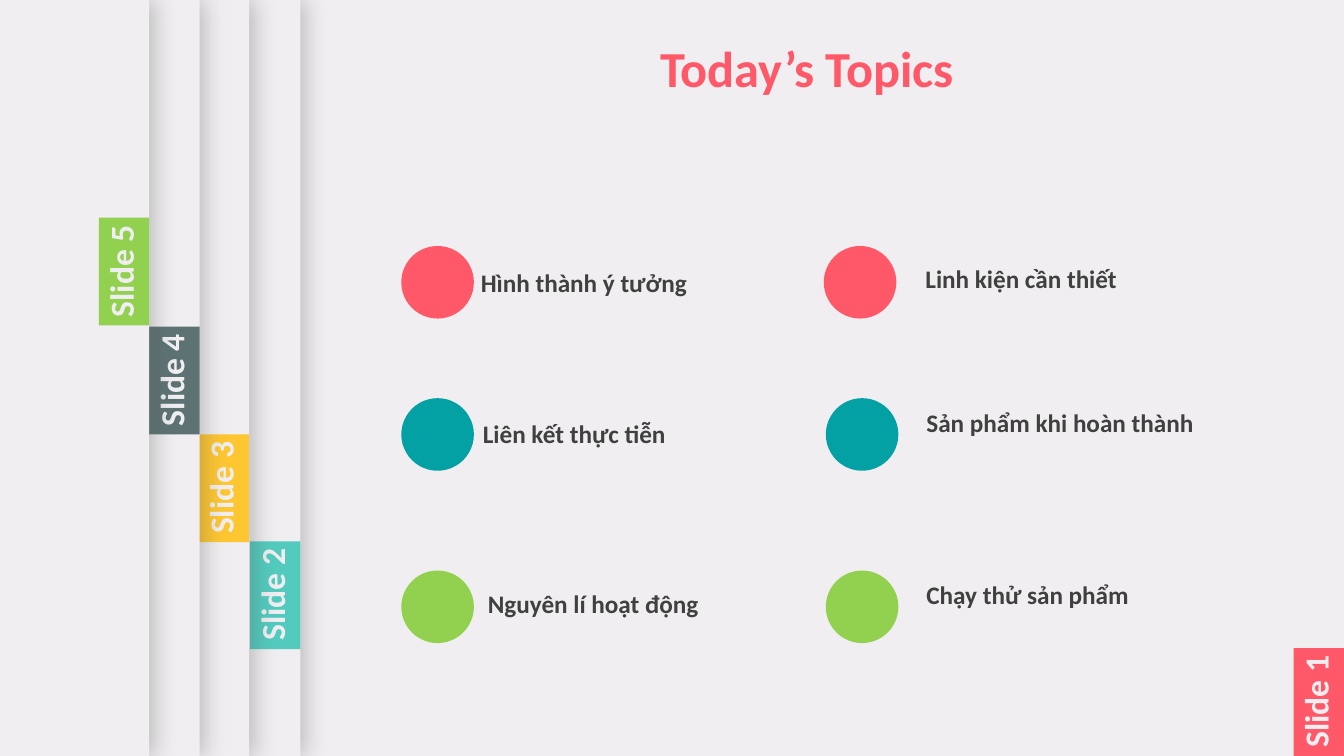
from dataclasses import dataclass

from lxml import etree
from pptx import Presentation
from pptx.dml.color import RGBColor
from pptx.enum.shapes import MSO_SHAPE as Shape
from pptx.enum.text import MSO_AUTO_SIZE as AutoSize, PP_ALIGN as Align
from pptx.oxml.ns import qn
from pptx.util import Inches, Pt


@dataclass(frozen=True)
class Theme:
    font: str = "Calibri"
    paper: str = "F0EEF0"
    ink: str = "404040"
    shade: str = "595959"
    coral: str = "FF5969"
    teal: str = "03A1A4"
    green: str = "92D050"
    mint: str = "52CBBE"
    amber: str = "FEC630"
    slate: str = "5D7373"
    title_size: int = 36
    tab_size: int = 24
    topic_size: int = 18


class Deck:
    """Holds the theme and the current slide, and draws each kind of element."""

    def __init__(self, slide, theme):
        self.slide = slide
        self.theme = theme
        background = slide.background.fill
        background.solid()
        background.fore_color.rgb = RGBColor.from_string(theme.paper)

    def block(self, kind, left, top, width, height, color):
        block = self.slide.shapes.add_shape(
            kind, Inches(left), Inches(top), Inches(width), Inches(height))
        block.shadow.inherit = False
        block.fill.solid()
        block.fill.fore_color.rgb = RGBColor.from_string(color)
        block.line.fill.background()
        return block

    def text(self, words, left, top, width, height, size, color,
             align=Align.LEFT, rotation=0):
        box = self.slide.shapes.add_textbox(
            Inches(left), Inches(top), Inches(width), Inches(height))
        box.rotation = rotation
        frame = box.text_frame
        frame.word_wrap = True
        frame.auto_size = AutoSize.SHAPE_TO_FIT_TEXT
        paragraph = frame.paragraphs[0]
        paragraph.text = words
        paragraph.alignment = align
        font = paragraph.font
        font.name, font.size, font.bold = self.theme.font, Pt(size), True
        font.color.rgb = RGBColor.from_string(color)

    def cast_shadow(self, sheet):
        effects = sheet._element.spPr.find(qn("a:effectLst"))
        shadow = etree.SubElement(
            effects, qn("a:outerShdw"), blurRad=str(Pt(17)), dist=str(Pt(3)),
            dir="0", algn="l", rotWithShape="0")
        tint = etree.SubElement(shadow, qn("a:srgbClr"), val=self.theme.shade)
        etree.SubElement(tint, qn("a:alpha"), val="35000")

    def tabbed_sheet(self, label, edge, tab_top, color):
        """A sheet whose right side is at edge, with a tab set against it."""
        sheet = self.block(Shape.RECTANGLE, edge - 13.65, 0, 13.65, 7.5,
                           self.theme.paper)
        self.cast_shadow(sheet)
        self.block(Shape.RECTANGLE, edge - 0.5, tab_top, 0.5, 1.07, color)
        self.text(label, edge - 0.88, tab_top + 0.28, 1.19, 0.5,
                  self.theme.tab_size, self.theme.paper, Align.CENTER, 270)

    def topic(self, words, dot_left, dot_top, text_left, text_top, width, color):
        self.block(Shape.OVAL, dot_left, dot_top, 0.72, 0.72, color)
        self.text(words, text_left, text_top, width, 0.4,
                  self.theme.topic_size, self.theme.ink)


def main():
    theme = Theme()
    presentation = Presentation()
    presentation.slide_width = Inches(13.33)
    presentation.slide_height = Inches(7.5)
    deck = Deck(presentation.slides.add_slide(presentation.slide_layouts[6]), theme)

    # Front sheet and title
    deck.tabbed_sheet("Slide 1", 13.33, 6.43, theme.coral)
    deck.text("Today’s Topics", 5.36, 0.32, 5.29, 0.71,
              theme.title_size, theme.coral, Align.CENTER)

    # Topics: one row per colour, each entry is words, dot left, text left, top, width
    topic_rows = [
        (2.44, theme.coral, [("Hình thành ý tưởng", 3.98, 4.67, 2.6, 2.41),
                             ("Linh kiện cần thiết", 8.17, 9.08, 2.56, 2.33)]),
        (3.95, theme.teal, [("Liên kết thực tiễn", 3.98, 4.69, 4.1, 2.58),
                            ("Sản phẩm khi hoàn thành", 8.19, 9.09, 3.99, 2.93)]),
        (5.66, theme.green, [("Nguyên lí hoạt động", 3.98, 4.74, 5.79, 2.58),
                             ("Chạy thử sản phẩm", 8.19, 9.09, 5.7, 2.33)]),
    ]
    for dot_top, color, topics in topic_rows:
        for words, dot_left, text_left, text_top, width in topics:
            deck.topic(words, dot_left, dot_top, text_left, text_top, width, color)

    # Sheets stacked at the left, each tab one step further out and up
    stacked_sheets = [
        ("Slide 2", 2.98, 5.37, theme.mint),
        ("Slide 3", 2.47, 4.31, theme.amber),
        ("Slide 4", 1.98, 3.24, theme.slate),
        ("Slide 5", 1.48, 2.16, theme.green),
    ]
    for label, edge, tab_top, color in stacked_sheets:
        deck.tabbed_sheet(label, edge, tab_top, color)

    presentation.save("out.pptx")


if __name__ == "__main__":
    main()
